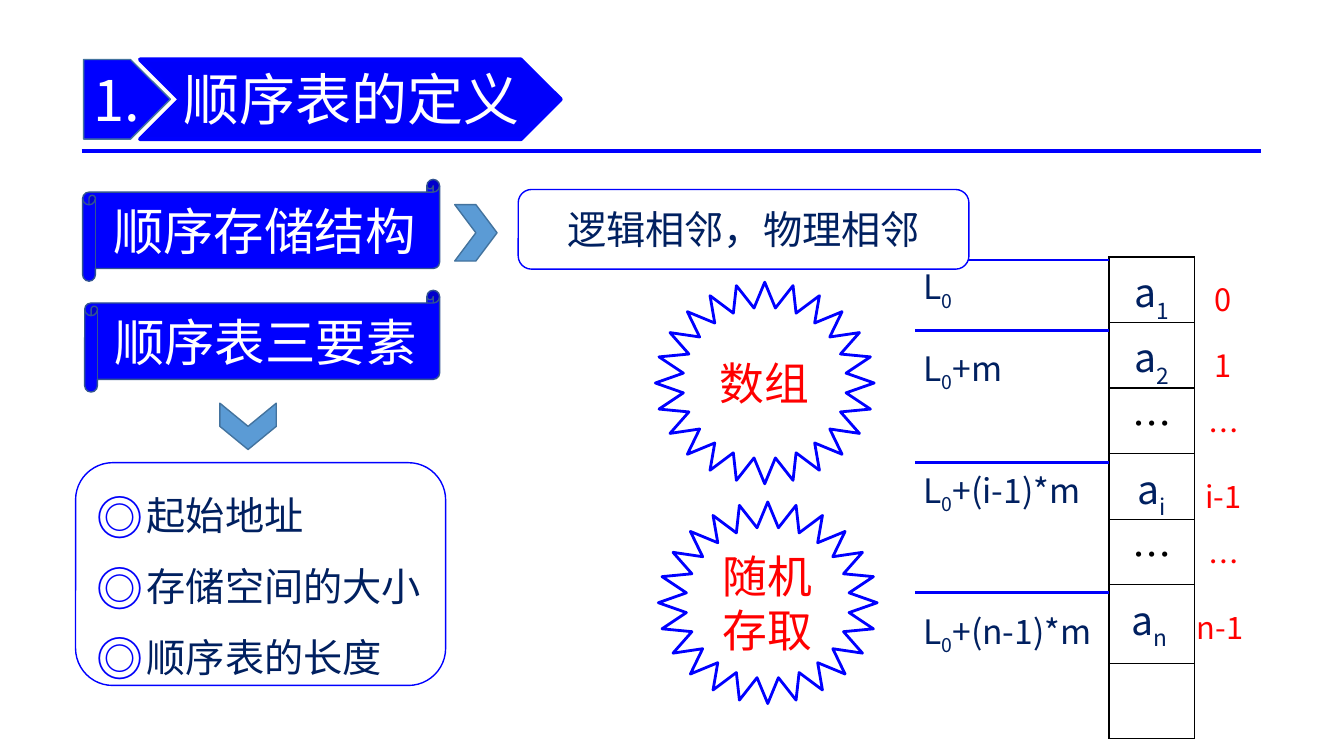
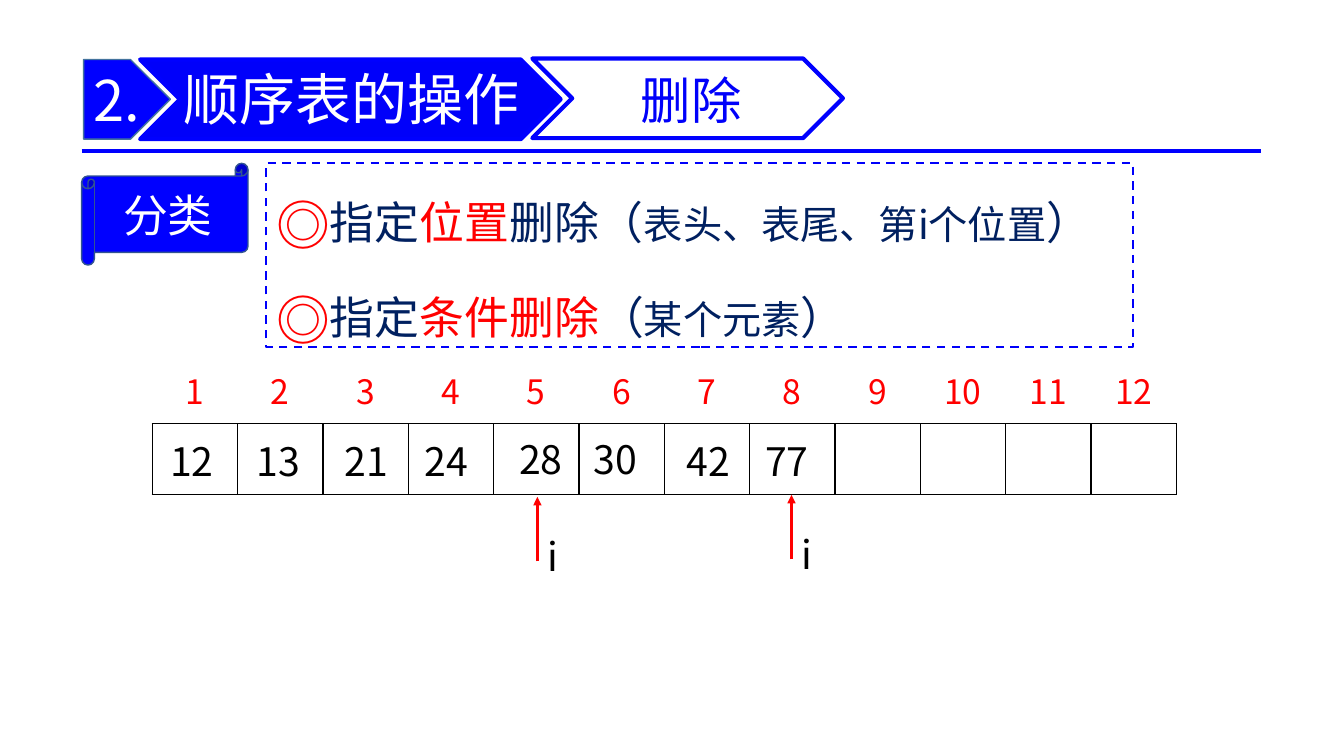
from dataclasses import dataclass

from lxml import etree
from pptx import Presentation
from pptx.dml.color import RGBColor
from pptx.enum.dml import MSO_LINE
from pptx.enum.shapes import MSO_CONNECTOR, MSO_SHAPE
from pptx.enum.text import MSO_ANCHOR, PP_ALIGN
from pptx.oxml.ns import qn
from pptx.util import Inches, Pt

LEFT, CENTER = PP_ALIGN.LEFT, PP_ALIGN.CENTER
TOP, MIDDLE = MSO_ANCHOR.TOP, MSO_ANCHOR.MIDDLE
STRAIGHT, DASH = MSO_CONNECTOR.STRAIGHT, MSO_LINE.DASH
RECT, ROUND_RECT = MSO_SHAPE.RECTANGLE, MSO_SHAPE.ROUNDED_RECTANGLE
SCROLL, STAR = MSO_SHAPE.HORIZONTAL_SCROLL, MSO_SHAPE.STAR_24_POINT
PENTAGON, CHEVRON = MSO_SHAPE.PENTAGON, MSO_SHAPE.CHEVRON


@dataclass(frozen=True)
class Theme:
    font: str = "Noto Sans CJK SC"
    blue: str = "0000FF"
    deep: str = "0000FA"
    navy: str = "002060"
    red: str = "FF0000"
    white: str = "FFFFFF"
    black: str = "000000"
    sky: str = "5B9BD5"
    sky_edge: str = "43739E"
    scroll_edge: str = "325491"
    title: int = 40
    heading: int = 36
    strong: int = 32
    body: int = 28
    label: int = 24
    index: int = 22


T = Theme()


def rgb(value):
    return RGBColor.from_string(value)


def apply(obj, **values):
    for name, value in values.items():
        setattr(obj, name, value)


def sub(parent, tag, **attrs):
    return etree.SubElement(parent, qn(tag), attrs)


def add_bullet(p, indent, color):
    pPr = p._p.get_or_add_pPr()
    pPr.set("marL", str(Inches(indent)))
    pPr.set("indent", str(-Inches(indent)))
    sub(sub(pPr, "a:buClr"), "a:srgbClr", val=color)
    sub(pPr, "a:buSzPct", val="120000")
    sub(pPr, "a:buFont", typeface=T.font)
    sub(pPr, "a:buChar", char="◎")


def write(tf, paras, size, color, align=LEFT, bullet=None, **spacing):
    for n, runs in enumerate(paras):
        p = tf.add_paragraph() if n else tf.paragraphs[0]
        apply(p, alignment=align, **spacing)
        if bullet:
            add_bullet(p, *bullet)
        for run in [(runs, {})] if isinstance(runs, str) else runs:
            text, look = run
            r = p.add_run()
            r.text = text
            apply(r.font, name=T.font, size=Pt(look.get("size", size)))
            r.font.color.rgb = rgb(look.get("color", color))
            rPr = r.font._element
            sub(rPr, "a:ea", typeface=T.font)
            if "base" in look:
                rPr.set("baseline", str(look["base"] * 1000))


def with_index(letter, index, tail="", base=-25):
    runs = [(letter, {}), (index, {"base": base})]
    return runs + [(tail, {})] if tail else runs


def add_box(s, kind, box, fill, line, width=1.0, dash=None):
    sp = s.shapes.add_shape(kind, *map(Inches, box))
    sp.shadow.inherit = False
    sp.fill.solid()
    sp.fill.fore_color.rgb = rgb(fill)
    sp.line.color.rgb = rgb(line)
    apply(sp.line, width=Pt(width), dash_style=dash)
    return sp


def add_text(s, box, paras, size, color, frame=None, **style):
    tf = s.shapes.add_textbox(*map(Inches, box)).text_frame
    apply(tf, word_wrap=True, **(frame or {}))
    write(tf, paras, size, color, **style)


def add_line(s, start, end, color, width, arrow=False):
    line = s.shapes.add_connector(STRAIGHT, *map(Inches, start + end))
    line.line.color.rgb = rgb(color)
    line.line.width = Pt(width)
    if arrow:
        sub(line.line._get_or_add_ln(), "a:tailEnd", type="triangle")
    sub(line._element.spPr, "a:effectLst")
    return line


def style_cell(cell, boxed):
    tcPr = cell._tc.get_or_add_tcPr()
    for side in ("a:lnL", "a:lnR", "a:lnT", "a:lnB"):
        ln = sub(tcPr, side, w=str(Pt(1)))
        if boxed:
            sub(sub(ln, "a:solidFill"), "a:srgbClr", val=T.black)
        else:
            sub(ln, "a:noFill")
    if boxed:
        cell.fill.solid()
        cell.fill.fore_color.rgb = rgb(T.white)
    else:
        cell.fill.background()


def add_grid(s, at, col, rows, cells, boxed, size, color, anchor=TOP):
    count = len(cells[0])
    box = (*at, col * count, sum(rows))
    table = s.shapes.add_table(len(rows), count, *map(Inches, box)).table
    apply(table, first_row=False, horz_banding=False)
    for column in table.columns:
        column.width = Inches(col)
    for y, (height, values) in enumerate(zip(rows, cells)):
        table.rows[y].height = Inches(height)
        for x, value in enumerate(values):
            cell = table.cell(y, x)
            style_cell(cell, boxed[y])
            apply(cell, vertical_anchor=anchor, margin_bottom=Inches(0.02))
            if value:
                write(cell.text_frame, [value], size, color, align=CENTER)


def title_band(s, box, number, title, topic=None):
    x, y, _, h = box
    badge = add_box(s, PENTAGON, (x, y, 0.86, h), T.blue, T.sky_edge)
    badge.text_frame.margin_right = 0
    write(badge.text_frame, [number], T.title, T.white)
    frame = {"vertical_anchor": MIDDLE, "margin_left": Inches(0.04), "margin_right": 0,
             "margin_top": Inches(0.02), "margin_bottom": Inches(0.02)}
    add_box(s, CHEVRON, (x + 0.56, y, 4.17, h), T.deep, T.blue, 3)
    add_text(s, (x + 0.95, y - 0.16, 3.39, 1.08), [title], T.title, T.white, frame)
    if topic:
        add_box(s, CHEVRON, (x + 4.45, y - 0.01, 3.08, h), T.white, T.blue, 3)
        add_text(s, (x + 3.47, y - 0.11, 5.07, 1.08), [topic], T.heading, T.deep,
                 frame, align=CENTER, line_spacing=0.9)


def scroll(s, box, text, size):
    sp = add_box(s, SCROLL, box, T.blue, T.scroll_edge)
    write(sp.text_frame, [text], size, T.white, align=CENTER)


def pointer(s, box, rotation=0):
    add_box(s, CHEVRON, box, T.sky, T.sky_edge).rotation = rotation


def burst(s, box, text):
    sp = add_box(s, STAR, box, T.white, T.blue, 2)
    write(sp.text_frame, [text], T.strong, T.red, align=CENTER)


def memory_map(s, box):
    x, y, w, _ = box
    col = 0.85
    rows = [0.65] * 5 + [0.78, 0.75]
    dots = [("…", {"color": T.black})]
    names = ["1", "2", None, "i", None, "n "]
    values = [[with_index("a", n, base=-30) if n else dots] for n in names]
    indexes = [[n] for n in ("0", "1", "…", "i-1", "…", "n-1 ", "")]
    add_grid(s, (x + w, y), col, rows, values + [[""]], [True] * 7, T.body, T.navy)
    add_grid(s, (x + w + 0.71, y + 0.14), col, rows, indexes, [False] * 7, T.index, T.red)
    addresses = [("", 0.03, 0.04), ("+m", 0.73, 0.85),
                 ("+(i-1)*m", 2.04, 2.06), ("+(n-1)*m", 3.33, 3.46)]
    for tail, rule, label in addresses:
        add_line(s, (x + w, y + rule), (x + 0.02, y + rule), T.deep, 2)
        add_text(s, (x, y + label, 2.19, 0.5), [with_index("L", "0", tail)],
                 T.label, T.navy)


def elements_box(s, box, items):
    sp = add_box(s, ROUND_RECT, box, T.white, T.blue)
    write(sp.text_frame, items, T.body, T.navy, bullet=(0.5, T.deep), line_spacing=1.5)


def kinds_box(s, box):
    sp = add_box(s, RECT, box, T.white, T.deep, 1.5, DASH)
    sp.text_frame.vertical_anchor = TOP
    red, small = {"color": T.red}, {"size": T.body}
    paras = [
        [("指定", {}), ("位置", red), ("删除（", {}), ("表头、表尾、第i个位置", small), ("）", {})],
        [("指定", {}), ("条件删除", red), ("（", {}), ("某个元素", small), ("）", {})],
    ]
    write(sp.text_frame, paras, T.strong, T.navy, bullet=(0.25, T.red),
          line_spacing=1.5, space_before=Pt(10))


def cursor(s, x, y):
    add_line(s, (x, y + 0.64), (x, y), T.red, 2, arrow=True)
    add_text(s, (x, y + 0.3, 0.71, 0.57), ["i"], T.body, T.black)


def array_strip(s, box):
    x, y, w, h = box
    heads = [str(n) for n in range(1, 13)]
    add_grid(s, (x, y), w / 12, [h / 2] * 2, [heads, [""] * 12], [False, True],
             T.label, T.red, MIDDLE)
    values = [("12", 0.08, 0.79), ("13", 0.94, 0.79), ("21", 1.81, 0.79),
              ("24", 2.6, 0.79), ("28", 3.54, 0.77), ("30", 4.28, 0.77),
              ("42", 5.2, 0.79), ("77", 5.98, 0.79)]
    for text, dx, dy in values:
        add_text(s, (x + dx, y + dy, 0.71, 0.57), [text], T.body, T.black)
    cursor(s, x + 3.82, y + 1.43)
    cursor(s, x + 6.34, y + 1.41)


def definition_slide(s, band):
    title_band(s, band, "1.", "顺序表的定义")
    scroll(s, (0.82, 1.78, 3.54, 1.01), "顺序存储结构", T.heading)
    scroll(s, (0.84, 2.88, 3.52, 1.01), "顺序表三要素", T.heading)
    memory_map(s, (9.06, 2.55, 1.94, 4.76))
    burst(s, (6.5, 2.8, 2.17, 2), "数组")
    burst(s, (6.53, 4.98, 2.17, 2), "随机存取")
    pointer(s, (4.51, 2.03, 0.42, 0.56))
    pointer(s, (2.23, 3.95, 0.46, 0.56), 90)
    sp = add_box(s, ROUND_RECT, (5.14, 1.88, 4.47, 0.79), T.white, T.blue)
    write(sp.text_frame, ["逻辑相邻，物理相邻"], T.body, T.navy, align=CENTER)
    elements_box(s, (0.75, 4.59, 3.67, 2.21), ["起始地址", "存储空间的大小", "顺序表的长度"])


def deletion_slide(s, band):
    title_band(s, band, "2.", "顺序表的操作", "删除")
    array_strip(s, (1.51, 3.5, 10.16, 1.41))
    scroll(s, (0.81, 1.62, 1.65, 1.01), "分类", T.strong)
    kinds_box(s, (2.64, 1.62, 8.6, 1.82))


def main():
    prs = Presentation()
    apply(prs, slide_width=Inches(13.33), slide_height=Inches(7.5))
    blank = prs.slide_layouts[6]
    band = (0.83, 0.59, 11.68, 0.79)
    slides = [prs.slides.add_slide(blank) for _ in range(2)]
    rule = add_line(slides[0], (0.81, 1.5), (12.51, 1.5), T.blue, 3)
    blank.shapes.element.append(rule.element)
    definition_slide(slides[0], band)
    deletion_slide(slides[1], band)
    prs.save("out.pptx")


if __name__ == "__main__":
    main()
